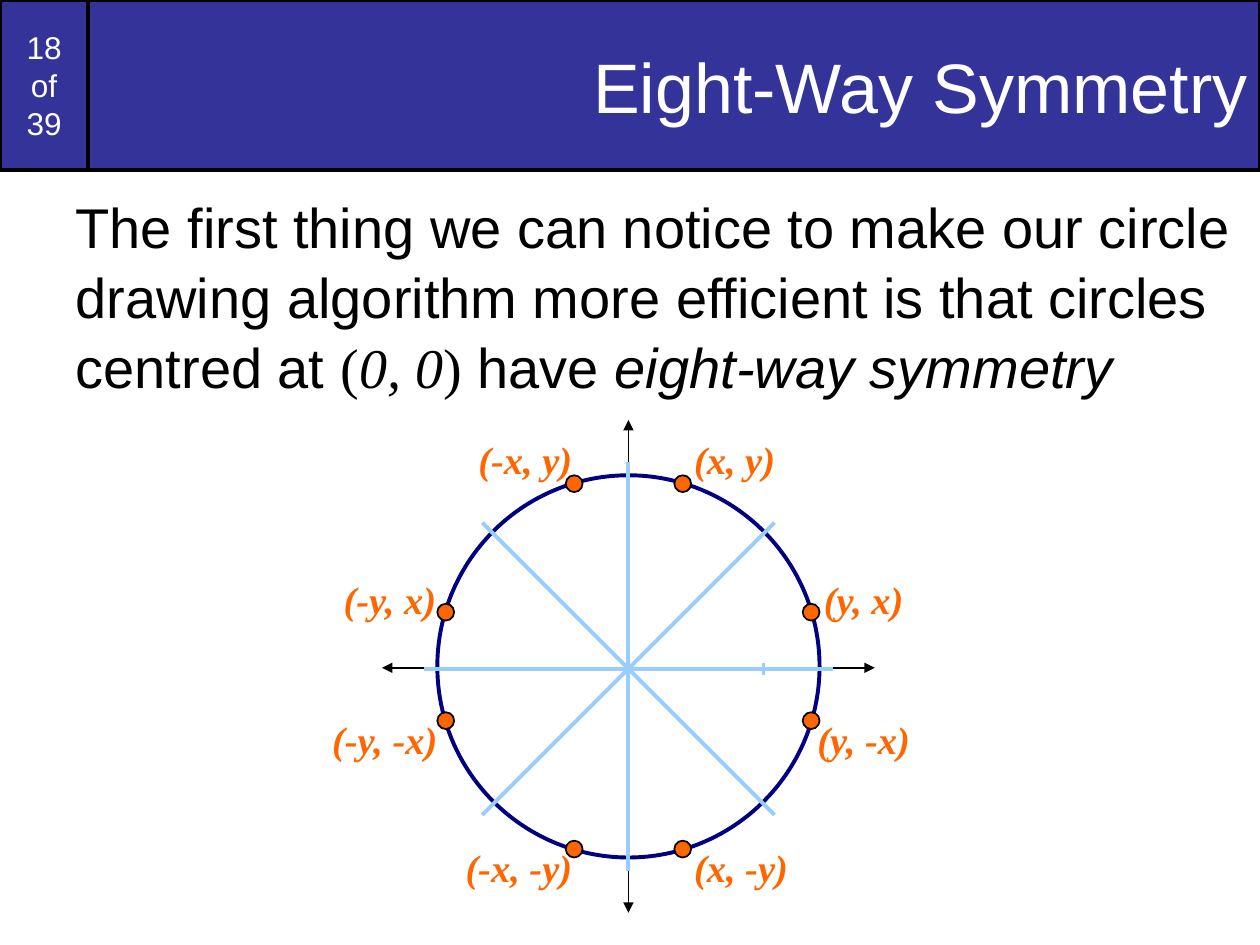
from dataclasses import dataclass

from lxml.etree import SubElement
from pptx import Presentation
from pptx.dml.color import RGBColor
from pptx.enum.shapes import MSO_CONNECTOR, MSO_SHAPE
from pptx.enum.text import MSO_ANCHOR, MSO_AUTO_SIZE, PP_ALIGN
from pptx.oxml.ns import qn
from pptx.util import Pt


@dataclass(frozen=True)
class Theme:
    sans: str = "Arial"
    serif: str = "Times New Roman"
    title_size: float = 40
    body_size: float = 32
    label_size: float = 22
    number_size: float = 18
    white: str = "FFFFFF"
    black: str = "000000"
    banner: str = "333399"
    circle: str = "000080"
    accent: str = "FF6600"
    guide: str = "99CCFF"
    thick: float = 2.25
    thin: float = 1


THEME = Theme()

TITLE = "Eight-Way Symmetry"
PAGE_NUMBER = ["18", "of", "39"]
BODY = [  # text, font, italic
    ("The first thing we can notice to make our circle drawing algorithm "
     "more efficient is that circles centred at ", THEME.sans, False),
    ("(", THEME.serif, False),
    ("0, 0", THEME.serif, True),
    (")", THEME.serif, False),
    (" have ", THEME.sans, False),
    ("eight-way symmetry", THEME.sans, True),
]
LABELS = [  # text, edge nearest the circle, top, alignment
    ("(x, y)", 389.5, 245.5, PP_ALIGN.LEFT),
    ("(y, x)", 463.7, 325.5, PP_ALIGN.LEFT),
    ("(y, -x)", 460, 405.5, PP_ALIGN.LEFT),
    ("(x, -y)", 389.5, 478.8, PP_ALIGN.LEFT),
    ("(-x, -y)", 334, 478.8, PP_ALIGN.RIGHT),
    ("(-y, -x)", 257, 405.5, PP_ALIGN.RIGHT),
    ("(-y, x)", 256.3, 325.5, PP_ALIGN.RIGHT),
    ("(-x, y)", 334, 245.5, PP_ALIGN.RIGHT),
]

BANNER_HEIGHT, NUMBER_WIDTH = 97.2, 50.4
CENTRE_X, CENTRE_Y = 359.1, 380.8
RADIUS, DOT_RADIUS = 109.2, 4.8
NEAR, FAR = 31, 104.4  # offsets of the points from the two axes
AXIS, GUIDE, DIAGONAL = 140.8, 117, 83.5  # half lengths
TICK_X, TICK = 77.2, 3.6
LABEL_WIDTH, LABEL_HEIGHT = 76, 34


def colour(code):
    return RGBColor.from_string(code)


def place(shape, left, top, width, height):
    shape.left, shape.top = Pt(left), Pt(top)
    shape.width, shape.height = Pt(width), Pt(height)


def paint(shape, fill, line, weight):
    if fill:
        shape.fill.solid()
        shape.fill.fore_color.rgb = colour(fill)
    else:
        shape.fill.background()
    shape.line.color.rgb = colour(line)
    shape.line.width = Pt(weight)


def add_span(para, text, font, size, code, bold=False, italic=False):
    span = para.add_run()
    span.text = text
    span.font.name, span.font.size = font, Pt(size)
    span.font.bold, span.font.italic = bold, italic
    span.font.color.rgb = colour(code)


def add_disc(page, x, y, radius, fill, line, weight):
    disc = page.shapes.add_shape(MSO_SHAPE.OVAL, Pt(x - radius), Pt(y - radius),
                                 Pt(2 * radius), Pt(2 * radius))
    disc.shadow.inherit = False
    paint(disc, fill, line, weight)


def add_line(page, start, end, code, weight, arrows=False):
    """Draw a line between two offsets from the circle's centre."""
    (x1, y1), (x2, y2) = start, end
    line = page.shapes.add_connector(
        MSO_CONNECTOR.STRAIGHT, Pt(CENTRE_X + x1), Pt(CENTRE_Y + y1),
        Pt(CENTRE_X + x2), Pt(CENTRE_Y + y2))
    line.line.color.rgb = colour(code)
    line.line.width = Pt(weight)
    properties = line.element.spPr
    if arrows:
        outline = properties.find(qn("a:ln"))
        for end_name in ("a:headEnd", "a:tailEnd"):
            SubElement(outline, qn(end_name), type="triangle")
    SubElement(properties, qn("a:effectLst"))


def add_banner(page):
    title = page.shapes.title
    place(title, NUMBER_WIDTH, 0, 720 - NUMBER_WIDTH, BANNER_HEIGHT)
    number = page.shapes.add_shape(MSO_SHAPE.RECTANGLE, 0, 0,
                                   Pt(NUMBER_WIDTH), Pt(BANNER_HEIGHT))
    number.shadow.inherit = False
    for box, lines, size, align in (
            (title, [TITLE], THEME.title_size, PP_ALIGN.RIGHT),
            (number, PAGE_NUMBER, THEME.number_size, PP_ALIGN.CENTER)):
        paint(box, THEME.banner, THEME.black, THEME.thick)
        frame = box.text_frame
        frame.auto_size = MSO_AUTO_SIZE.NONE
        frame.word_wrap = True
        frame.vertical_anchor = MSO_ANCHOR.MIDDLE
        para = frame.paragraphs[0]
        para.alignment = align
        for index, text in enumerate(lines):
            if index:
                para.add_line_break()
            add_span(para, text, THEME.sans, size, THEME.white)


def add_body(page):
    body = page.placeholders[1]
    place(body, 36, 105, 684, 435)
    body.text_frame.auto_size = MSO_AUTO_SIZE.NONE
    para = body.text_frame.paragraphs[0]
    properties = para._p.get_or_add_pPr()
    properties.set("marL", "0")
    properties.set("indent", "0")
    SubElement(properties, qn("a:buNone"))
    para.space_before = Pt(0)
    para.line_spacing = 1.04
    for text, font, italic in BODY:
        add_span(para, text, font, THEME.body_size, THEME.black, italic=italic)


def add_labels(page):
    for text, edge, top, align in LABELS:
        left = edge if align == PP_ALIGN.LEFT else edge - LABEL_WIDTH
        box = page.shapes.add_textbox(Pt(left), Pt(top), Pt(LABEL_WIDTH), Pt(LABEL_HEIGHT))
        box.text_frame.word_wrap = True
        para = box.text_frame.paragraphs[0]
        para.alignment = align
        add_span(para, text, THEME.serif, THEME.label_size, THEME.accent,
                 bold=True, italic=True)


def add_diagram(page):
    for start, end in (((0, AXIS), (0, -AXIS)), ((-AXIS, 0.8), (AXIS, 0.8))):
        add_line(page, start, end, THEME.black, THEME.thin, arrows=True)
    add_disc(page, CENTRE_X, CENTRE_Y, RADIUS, None, THEME.circle, THEME.thick)
    for x, y in ((NEAR, FAR), (FAR, NEAR)):
        for side in (1, -1):
            for level in (1, -1):
                add_disc(page, CENTRE_X + side * x, CENTRE_Y + level * y, DOT_RADIUS,
                         THEME.accent, THEME.black, THEME.thin)
    add_labels(page)
    guides = [
        ((-DIAGONAL, DIAGONAL + 1.4), (DIAGONAL, 1.4 - DIAGONAL)),
        ((TICK_X, 1.4 - TICK), (TICK_X, 1.4 + TICK)),
        ((DIAGONAL, DIAGONAL + 1.4), (-DIAGONAL, 1.4 - DIAGONAL)),
        ((-0.4, GUIDE), (-0.4, -GUIDE)),
        ((-GUIDE, 1.4), (GUIDE, 1.4)),
    ]
    for start, end in guides:
        add_line(page, start, end, THEME.guide, THEME.thick)


def main():
    deck = Presentation()
    deck.slide_width, deck.slide_height = Pt(720), Pt(540)
    page = deck.slides.add_slide(deck.slide_layouts[1])
    add_banner(page)
    add_body(page)
    add_diagram(page)
    deck.save("out.pptx")


if __name__ == "__main__":
    main()
